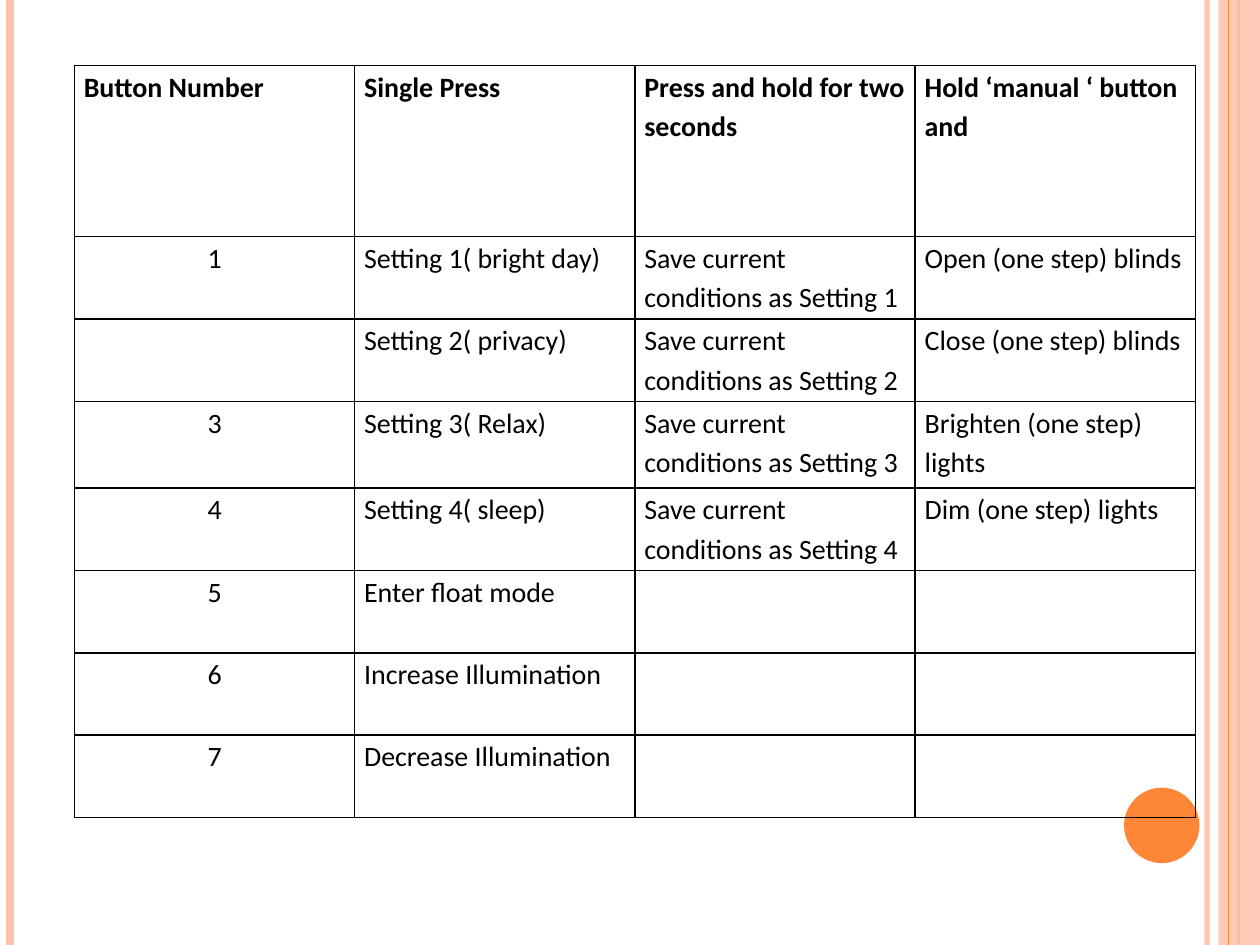
from dataclasses import dataclass

from lxml import etree
from pptx import Presentation
from pptx.dml.color import RGBColor
from pptx.enum import shapes, text
from pptx.oxml.ns import qn
from pptx.util import Cm, Pt


@dataclass(frozen=True)
class Theme:
    peach: str = "FEC3AE"
    orange: str = "FE8637"
    ink: str = "000000"
    font: str = "Calibri"
    text_size: float = 16
    border_width: float = 1


@dataclass(frozen=True)
class Rule:
    """A vertical line over the full slide height."""
    x: float
    color: str
    width: float
    opacity: int = 100


@dataclass(frozen=True)
class Block:
    kind: shapes.MSO_SHAPE
    left: float
    top: float
    width: float
    height: float
    color: str
    opacity: int = 100


THEME = Theme()
SLIDE_WIDTH, SLIDE_HEIGHT = 25.4, 19.05

DECORATION = [
    Rule(24.33, THEME.peach, 3, 93),
    Rule(0.2, THEME.peach, 4.5),
    Rule(24.97, THEME.orange, 1.5),
    Block(shapes.MSO_SHAPE.RECTANGLE, 24.56, 0, 0.84, SLIDE_HEIGHT, THEME.peach, 87),
    Rule(24.77, THEME.orange, 0.75),
    Block(shapes.MSO_SHAPE.OVAL, 22.66, 15.88, 1.52, 1.52, THEME.orange),
]

TABLE_LEFT, TABLE_TOP = 1.5, 1.32
COLUMN_WIDTH = 5.65
ROW_HEIGHTS = [3.45, 1.66, 1.66, 1.75, 1.66, 1.66, 1.66, 1.66]
ROWS = [
    ("Button Number", "Single Press", "Press and hold for two seconds", "Hold ‘manual ‘ button and"),
    ("1", "Setting 1( bright day)", "Save current conditions as Setting 1", "Open (one step) blinds"),
    ("", "Setting 2( privacy)", "Save current conditions as Setting 2", "Close (one step) blinds"),
    ("3", "Setting 3( Relax)", "Save current conditions as Setting 3", "Brighten (one step) lights"),
    ("4", "Setting 4( sleep)", "Save current conditions as Setting 4", "Dim (one step) lights"),
    ("5", "Enter float mode", "", ""),
    ("6", "Increase Illumination", "", ""),
    ("7", "Decrease Illumination", "", ""),
]


def set_opacity(fill_parent, percent: int) -> None:
    if percent < 100:
        color = next(fill_parent.iter(qn("a:srgbClr")))
        etree.SubElement(color, qn("a:alpha"), val=str(percent * 1000))


def draw_rule(slide, rule: Rule) -> None:
    connector = slide.shapes.add_connector(
        shapes.MSO_CONNECTOR.STRAIGHT, Cm(rule.x), Cm(0), Cm(rule.x), Cm(SLIDE_HEIGHT))
    connector.line.color.rgb = RGBColor.from_string(rule.color)
    connector.line.width = Pt(rule.width)
    properties = connector._element.spPr
    set_opacity(properties, rule.opacity)
    etree.SubElement(properties, qn("a:effectLst"))


def draw_block(slide, block: Block) -> None:
    shape = slide.shapes.add_shape(
        block.kind, Cm(block.left), Cm(block.top), Cm(block.width), Cm(block.height))
    shape.shadow.inherit = False
    shape.fill.solid()
    shape.fill.fore_color.rgb = RGBColor.from_string(block.color)
    shape.line.fill.background()
    set_opacity(shape._element.spPr, block.opacity)


def set_borders(cell) -> None:
    properties = cell._tc.get_or_add_tcPr()
    for index, side in enumerate(("lnL", "lnR", "lnT", "lnB")):
        line = etree.Element(qn(f"a:{side}"), w=str(Pt(THEME.border_width)))
        fill = etree.SubElement(line, qn("a:solidFill"))
        etree.SubElement(fill, qn("a:srgbClr"), val=THEME.ink)
        properties.insert(index, line)


def fill_cell(cell, content: str, bold: bool, centered: bool) -> None:
    cell.fill.background()
    set_borders(cell)
    cell.margin_left = cell.margin_right = Cm(0.19)
    cell.margin_top = cell.margin_bottom = Cm(0)
    cell.text_frame.text = content
    paragraph = cell.text_frame.paragraphs[0]
    paragraph.line_spacing = 1.15
    paragraph.alignment = text.PP_ALIGN.CENTER if centered else text.PP_ALIGN.LEFT
    for run in paragraph.runs:
        run.font.name = THEME.font
        run.font.size = Pt(THEME.text_size)
        run.font.bold = bold
        run.font.color.rgb = RGBColor.from_string(THEME.ink)


def draw_button_table(slide) -> None:
    column_count = len(ROWS[0])
    table = slide.shapes.add_table(
        len(ROWS), column_count, Cm(TABLE_LEFT), Cm(TABLE_TOP),
        Cm(COLUMN_WIDTH * column_count), Cm(sum(ROW_HEIGHTS))).table
    table.first_row = table.horz_banding = False
    for column in table.columns:
        column.width = Cm(COLUMN_WIDTH)
    for row_index, (height, contents) in enumerate(zip(ROW_HEIGHTS, ROWS)):
        table.rows[row_index].height = Cm(height)
        is_header = row_index == 0
        for column_index, content in enumerate(contents):
            fill_cell(table.cell(row_index, column_index), content,
                      bold=is_header, centered=column_index == 0 and not is_header)


def main() -> None:
    presentation = Presentation()
    presentation.slide_width, presentation.slide_height = Cm(SLIDE_WIDTH), Cm(SLIDE_HEIGHT)
    slide = presentation.slides.add_slide(presentation.slide_layouts[6])
    for item in DECORATION:
        if isinstance(item, Rule):
            draw_rule(slide, item)
        else:
            draw_block(slide, item)
    draw_button_table(slide)
    presentation.save("out.pptx")


if __name__ == "__main__":
    main()
